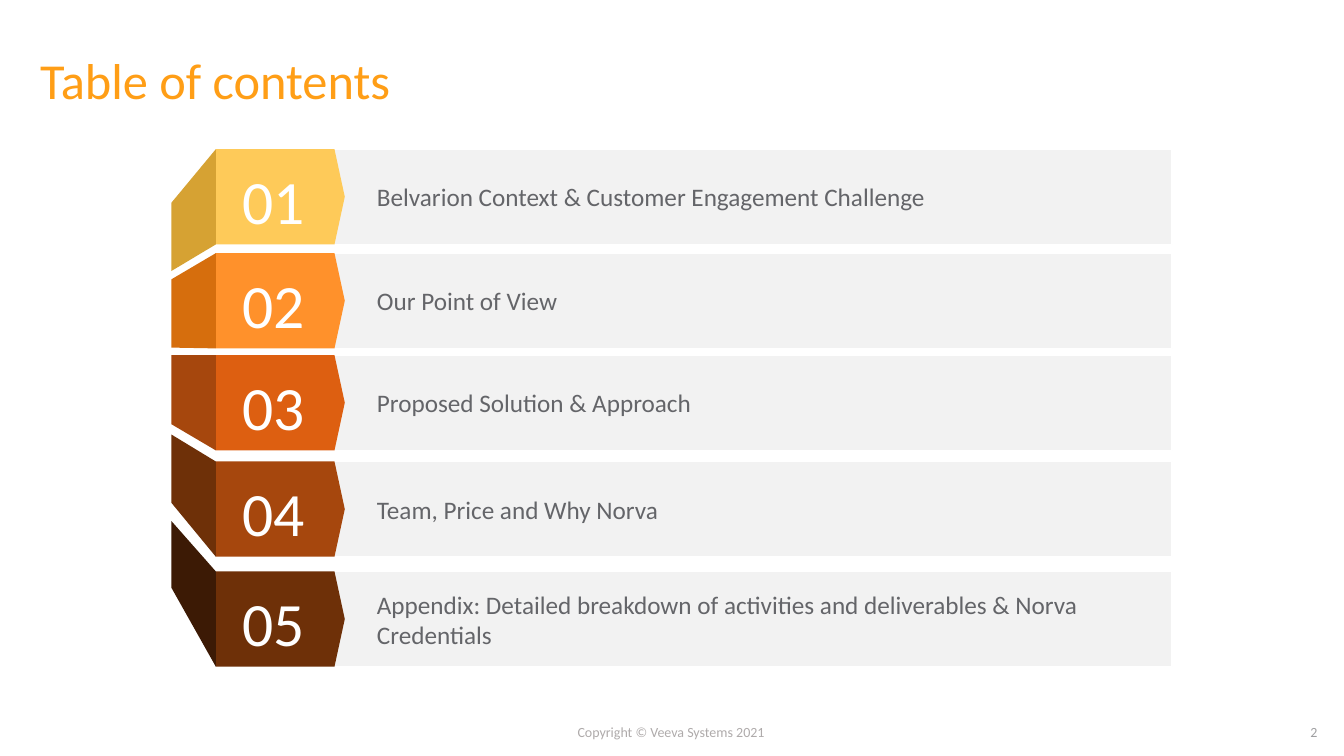
from pptx import Presentation
from pptx import util as u
from pptx.dml.color import RGBColor
from pptx.enum import shapes, text

FONT = "Calibri"


def paint(fmt, colour):
    """Give a fill, or the fill of a line, one solid colour."""
    fmt.solid()
    fmt.fore_color.rgb = RGBColor.from_string(colour)


def write(sp, words, size, colour, align=text.PP_ALIGN.LEFT, wrap=True):
    """Put one styled paragraph in a shape and return its text frame."""
    tf = sp.text_frame
    tf.word_wrap = wrap
    p = tf.paragraphs[0]
    p.text = words
    p.alignment = align
    p.font.size = u.Pt(size)
    p.font.name = FONT
    paint(p.font.fill, colour)
    return tf


prs = Presentation()
prs.slide_width, prs.slide_height = u.Cm(33.87), u.Cm(19.05)
s = prs.slides.add_slide(prs.slide_layouts[5])

# Title
title = s.shapes.title
title.left, title.top = u.Cm(0.76), u.Cm(0.66)
title.width, title.height = u.Cm(32.33), u.Cm(3.05)
tf = write(title, "Table of contents", 36, "FF9E16")
tf.auto_size = text.MSO_AUTO_SIZE.NONE
tf.vertical_anchor = text.MSO_ANCHOR.MIDDLE
tf.paragraphs[0].line_spacing = 0.7

# Sections: top of the row, outer top and bottom of its side, colours, wording
sections = [
    (3.76, 5.11, 6.83, "FECA59", "D6A233",
     "Belvarion Context & Customer Engagement Challenge"),
    (6.38, 7.04, 8.76, "FF912B", "D66E0D", "Our Point of View"),
    (8.95, 8.95, 10.69, "DD5F11", "A6470D", "Proposed Solution & Approach"),
    (11.63, 10.95, 12.67, "A6470D", "6E3008", "Team, Price and Why Norva"),
    (14.4, 13.13, 14.81, "6E3008", "3C1A05",
     "Appendix: Detailed breakdown of activities and deliverables & Norva "
     "Credentials"),
]
row_height = 2.4
side_x, tab_x, shoulder_x, tip_x = 4.32, 5.44, 8.43, 8.69

for number, (top, side_top, side_bottom, front, side, words) in enumerate(sections, 1):
    bottom = top + row_height

    # Grey bar with the section name
    bar = s.shapes.add_shape(shapes.MSO_SHAPE.RECTANGLE,
                             u.Cm(8), u.Cm(top), u.Cm(21.54), u.Cm(row_height))
    bar.shadow.inherit = False
    paint(bar.fill, "F2F2F2")
    paint(bar.line.fill, "FFFFFF")
    bar.line.width = u.Pt(1)
    tf = write(bar, words, 18, "646569")
    tf.vertical_anchor = text.MSO_ANCHOR.MIDDLE
    tf.margin_left = u.Cm(1.5)

    # Pointed tab and its folded side
    tab = [(tab_x, top), (shoulder_x, top), (tip_x, top + row_height / 2),
           (shoulder_x, bottom), (tab_x, bottom)]
    fold = [(tab_x, top), (side_x, side_top), (side_x, side_bottom), (tab_x, bottom)]
    for outline, colour in ((tab, front), (fold, side)):
        points = [(u.Cm(x), u.Cm(y)) for x, y in outline]
        builder = s.shapes.build_freeform(*points[0])
        builder.add_line_segments(points[1:], close=True)
        sp = builder.convert_to_shape()
        sp.shadow.inherit = False
        paint(sp.fill, colour)
        sp.line.fill.background()

    # Section number
    box = s.shapes.add_textbox(u.Cm(6.12), u.Cm(top + 0.34), u.Cm(2.57), u.Cm(1.88))
    tf = write(box, f"{number:02}", 44, "FFFFFF")
    tf.margin_left = tf.margin_right = tf.margin_top = tf.margin_bottom = 0

# Footer
copyright_line = s.shapes.add_textbox(u.Cm(14.27), u.Cm(18.11), u.Cm(5.28), u.Cm(0.69))
write(copyright_line, "Copyright © Veeva Systems 2021", 10, "AFABAB",
      text.PP_ALIGN.CENTER, wrap=False)
page = s.shapes.add_textbox(u.Cm(30.61), u.Cm(18.11), u.Cm(2.84), u.Cm(0.69))
write(page, "2", 10, "9F9FA1", text.PP_ALIGN.RIGHT)

prs.save("out.pptx")
